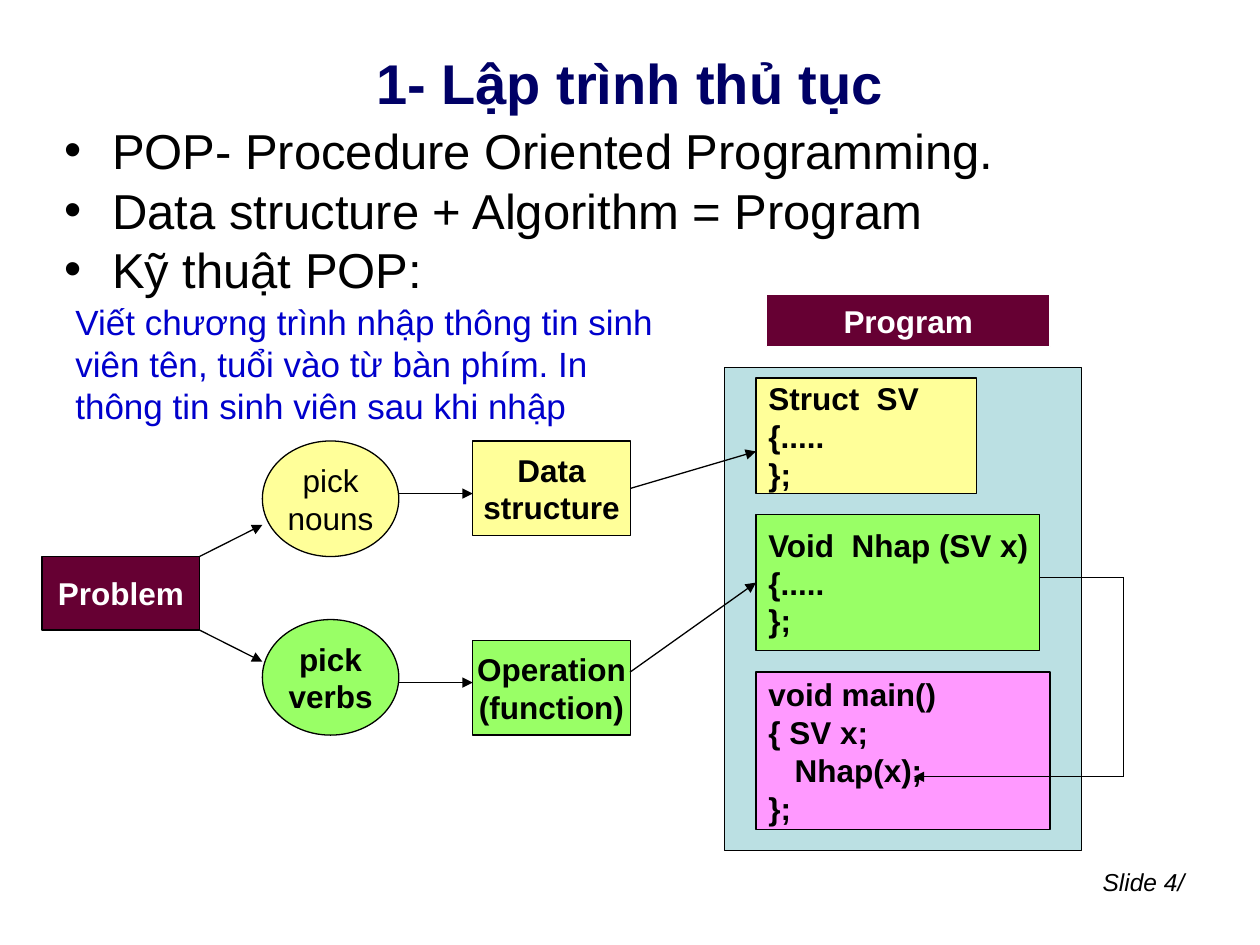
"""Build the slide on procedural programming with its problem-to-program diagram."""
from lxml.etree import SubElement
from pptx import Presentation
from pptx.dml.color import RGBColor
from pptx.enum.shapes import MSO_CONNECTOR, MSO_SHAPE
from pptx.enum.text import MSO_ANCHOR, PP_ALIGN
from pptx.oxml.ns import qn
from pptx.util import Cm, Pt


def color(hex_string):
    return RGBColor.from_string(hex_string)


def write(shape, text, size=18, fill="000000", bold=False, italic=False,
          align=PP_ALIGN.LEFT, anchor=MSO_ANCHOR.TOP, wrap=True):
    frame = shape.text_frame
    frame.word_wrap = wrap
    frame.vertical_anchor = anchor
    frame.text = text
    for paragraph in frame.paragraphs:
        paragraph.alignment = align
        font = paragraph.font
        for run in paragraph.runs:
            font = run.font
            font.name = "Arial"
            font.size = Pt(size)
            font.bold = bold
            font.italic = italic
            font.color.rgb = color(fill)
    return frame


presentation = Presentation()
presentation.slide_width = Cm(25.4)
presentation.slide_height = Cm(19.05)
slide = presentation.slides.add_slide(presentation.slide_layouts[6])
shapes = slide.shapes

footer = shapes.add_textbox(Cm(18.2), Cm(17.36), Cm(5.93), Cm(1.31))
write(footer, "Slide 4/", size=14, italic=True, align=PP_ALIGN.RIGHT)

title = shapes.add_textbox(Cm(1.27), Cm(0.76), Cm(22.86), Cm(1.78))
write(title, "1- Lập trình thủ tục", size=32, fill="000066", bold=True,
      align=PP_ALIGN.CENTER, anchor=MSO_ANCHOR.MIDDLE)

body = shapes.add_textbox(Cm(1.06), Cm(2.54), Cm(22.86), Cm(3.6))
body_frame = write(body, "POP- Procedure Oriented Programming.\n"
                   "Data structure + Algorithm = Program\nKỹ thuật POP:", size=28)
for paragraph in body_frame.paragraphs:
    paragraph.line_spacing = 0.8
    paragraph.space_before = Pt(7)
    properties = paragraph._p.get_or_add_pPr()
    properties.set("marL", str(Cm(0.95)))
    properties.set("indent", str(Cm(-0.95)))
    SubElement(properties, qn("a:buFont"), typeface="Arial")
    SubElement(properties, qn("a:buChar"), char="•")

RECTANGLE, OVAL = MSO_SHAPE.RECTANGLE, MSO_SHAPE.OVAL
CENTER, LEFT = PP_ALIGN.CENTER, PP_ALIGN.LEFT
MAROON, YELLOW, GREEN, PINK, BLUE = "660033", "FFFF99", "99FF66", "FF99FF", "BBE0E3"
WHITE, BLACK = "FFFFFF", "000000"

boxes = [
    ("Problem", RECTANGLE, 0.85, 11.22, 3.18, 1.48, MAROON, BLACK, WHITE, True, CENTER),
    ("Data\nstructure", RECTANGLE, 9.53, 8.89, 3.18, 1.91, YELLOW, BLACK, BLACK, True, CENTER),
    ("Operation\n(function)", RECTANGLE, 9.53, 12.91, 3.18, 1.91, GREEN, BLACK, BLACK, True, CENTER),
    ("Program", RECTANGLE, 15.45, 5.93, 5.72, 1.06, MAROON, WHITE, WHITE, True, CENTER),
    ("", RECTANGLE, 14.61, 7.41, 7.2, 9.74, BLUE, BLACK, BLACK, False, CENTER),
    ("Struct  SV\n{.....\n};", RECTANGLE, 15.24, 7.62, 4.45, 2.33, YELLOW, BLACK, BLACK, True, LEFT),
    ("Void  Nhap (SV x)\n{.....\n};", RECTANGLE, 15.24, 10.37, 5.72, 2.75, GREEN, BLACK, BLACK, True, LEFT),
    ("void main()\n{ SV x;\nNhap(x);\n};", RECTANGLE, 15.24, 13.55, 5.93, 3.18, PINK, BLACK, BLACK, True, LEFT),
    ("pick\nnouns", OVAL, 5.29, 8.89, 2.75, 2.33, YELLOW, BLACK, BLACK, False, CENTER),
    ("pick\nverbs", OVAL, 5.29, 12.49, 2.75, 2.33, GREEN, BLACK, BLACK, True, CENTER),
]
box_shapes = {}
for text, kind, left, top, width, height, fill, line, font_color, bold, align in boxes:
    shape = shapes.add_shape(kind, Cm(left), Cm(top), Cm(width), Cm(height))
    shape.shadow.inherit = False
    shape.fill.solid()
    shape.fill.fore_color.rgb = color(fill)
    shape.line.color.rgb = color(line)
    shape.line.width = Pt(0.75)
    if text:
        write(shape, text, fill=font_color, bold=bold, align=align,
              anchor=MSO_ANCHOR.MIDDLE, wrap=False)
    box_shapes[text.split("\n")[0]] = shape

call_paragraph = box_shapes["void main()"].text_frame.paragraphs[2]
call_paragraph._p.get_or_add_pPr().set("marL", str(Cm(0.53)))

lines = [
    ("problem to nouns", 4.02, 11.22, 5.29, 10.58, True),
    ("nouns to data", 8.04, 9.95, 9.53, 9.95, True),
    ("data to struct", 12.7, 9.95, 15.24, 9.1, True),
    ("problem to verbs", 4.02, 12.7, 5.29, 13.34, True),
    ("verbs to operation", 8.04, 13.76, 9.53, 13.76, True),
    ("operation to function", 12.7, 13.55, 15.24, 11.85, True),
    ("call arrow", 22.65, 15.66, 18.42, 15.66, True),
    ("call start", 20.96, 11.64, 22.65, 11.64, False),
    ("call side", 22.65, 11.64, 22.65, 15.66, False),
]
connectors = {}
for name, start_x, start_y, end_x, end_y, has_arrow in lines:
    connector = shapes.add_connector(MSO_CONNECTOR.STRAIGHT, Cm(start_x), Cm(start_y),
                                     Cm(end_x), Cm(end_y))
    connector.line.color.rgb = color(BLACK)
    connector.line.width = Pt(0.75)
    if has_arrow:
        SubElement(connector.line._get_or_add_ln(), qn("a:tailEnd"), type="triangle")
    SubElement(connector._element.spPr, qn("a:effectLst"))
    connectors[name] = connector

connectors["data to struct"].begin_connect(box_shapes["Data"], 3)
connectors["operation to function"].end_connect(box_shapes["Void  Nhap (SV x)"], 1)

task = shapes.add_textbox(Cm(1.27), Cm(5.93), Cm(12.28), Cm(2.79))
write(task, "Viết chương trình nhập thông tin sinh viên tên, tuổi vào từ bàn phím. "
      "In thông tin sinh viên sau khi nhập", size=20, fill="0000CC")

presentation.save("out.pptx")
